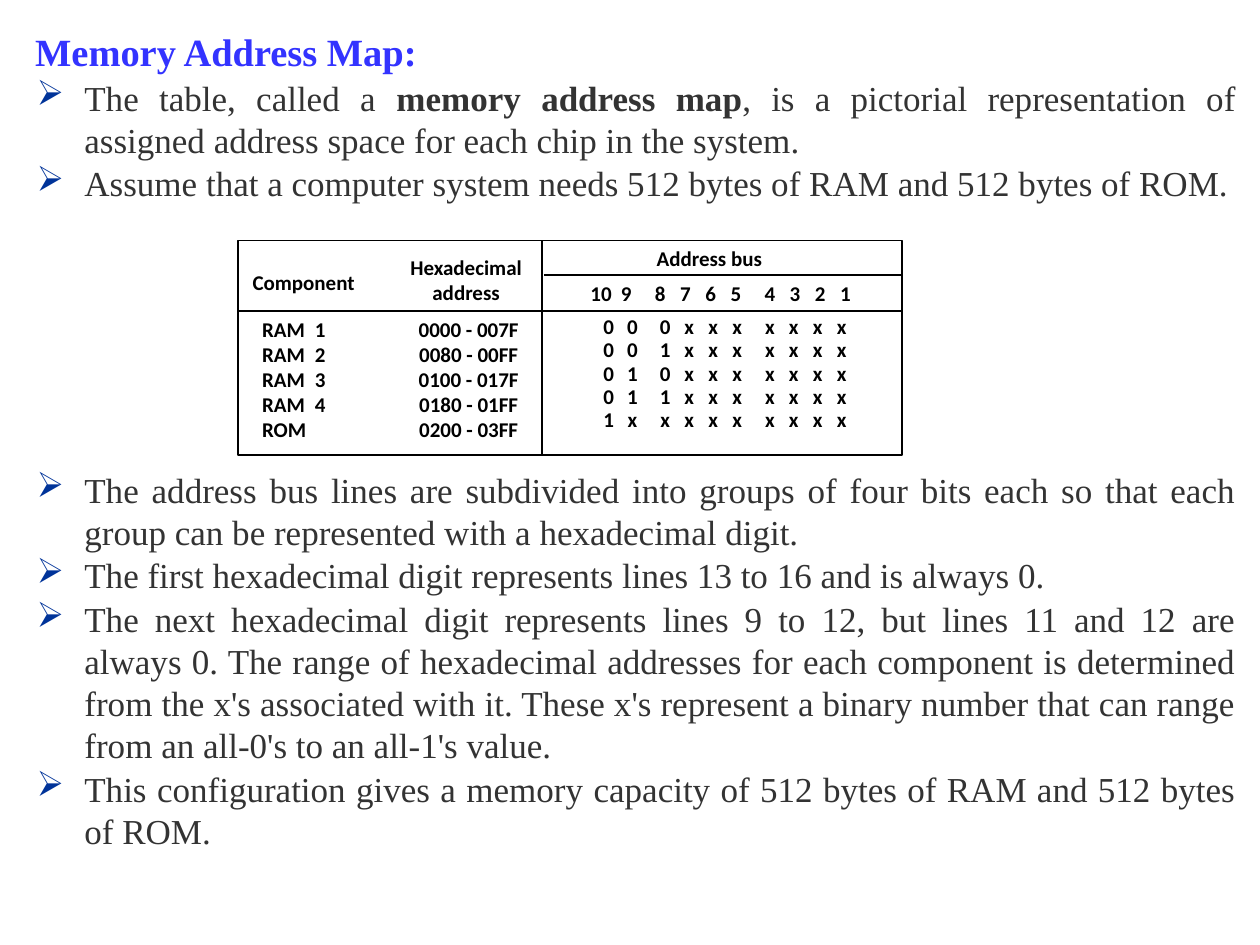
from dataclasses import dataclass

from lxml.etree import SubElement
from pptx import Presentation
from pptx.dml.color import RGBColor
from pptx.enum.shapes import MSO_CONNECTOR, MSO_SHAPE
from pptx.enum.text import PP_ALIGN
from pptx.oxml.ns import qn
from pptx.util import Inches, Pt


@dataclass(frozen=True)
class Theme:
    head: str = "3333FF"
    body: str = "333333"
    mark: str = "003399"
    ink: str = "000000"
    serif: str = "Times New Roman"
    sans: str = "Calibri"
    big: int = 22
    mid: int = 20
    small: int = 12
    rule: int = 1


def put(item, form):
    for name, value in form.items():
        setattr(item, name, value)


class Page:
    """Places elements on a grid of 100 columns by 75 rows."""

    def __init__(self, deck, theme):
        self.theme = theme
        self.slide = deck.slides.add_slide(deck.slide_layouts[6])
        self.col = deck.slide_width / 100
        self.row = deck.slide_height / 75

    def grid(self, x, y):
        return round(x * self.col), round(y * self.row)

    def frame(self, x, y, w, h, pad):
        box = self.slide.shapes.add_textbox(*self.grid(x, y), *self.grid(w, h))
        sides = ("margin_left", "margin_top", "margin_right", "margin_bottom")
        put(box.text_frame, dict(zip(sides, map(Inches, pad)), word_wrap=True))
        return box.text_frame

    def para(self, frame, runs, font, form, tabs=(), mark=None):
        """Add a paragraph; runs are (text, bold) pairs."""
        first = frame.paragraphs[0]
        line = frame.add_paragraph() if first.runs else first
        put(line, form)
        face, size, tint = font
        for text, bold in runs:
            run = line.add_run()
            run.text = text
            put(run.font, {"name": face, "size": Pt(size), "bold": bold})
            run.font.color.rgb = RGBColor.from_string(tint)
        prop = line._p.get_or_add_pPr()
        if mark:
            prop.set("marL", str(Inches(0.39)))
            prop.set("indent", str(Inches(-0.38)))
            tone = SubElement(prop, qn("a:buClr"))
            SubElement(tone, qn("a:srgbClr"), val=self.theme.mark)
            SubElement(prop, qn("a:buChar"), char=mark)
        if tabs:
            stops = SubElement(prop, qn("a:tabLst"))
            for kind, place in tabs:
                SubElement(stops, qn("a:tab"), pos=str(Inches(place)), algn=kind)

    def label(self, x, y, w, h, lines, align=PP_ALIGN.CENTER, tabs=(), space=1.0):
        t = self.theme
        frame = self.frame(x, y, w, h, (0.07, 0.03, 0.07, 0.03))
        for text in lines:
            self.para(frame, [(text, True)], (t.sans, t.small, t.ink),
                      {"alignment": align, "line_spacing": space}, tabs)

    def bits(self, y, h, rows, start, step, space=1.0):
        """Set ten bits a line, with a wider gap before each group of four."""
        gap = 0.07
        tabs = [("ctr", start + n * step + gap * ((n + 2) // 4)) for n in range(10)]
        lines = ["\t" + "\t".join(row) for row in rows]
        self.label(45.1, y, 25.1, h, lines, PP_ALIGN.LEFT, tabs, space)

    def stroke(self, line):
        line.color.rgb = RGBColor.from_string(self.theme.ink)
        line.width = Pt(self.theme.rule)

    def box(self, x, y, w, h):
        shape = self.slide.shapes.add_shape(
            MSO_SHAPE.RECTANGLE, *self.grid(x, y), *self.grid(w, h))
        shape.shadow.inherit = False
        shape.fill.background()
        self.stroke(shape.line)

    def line(self, x, y, to_x, to_y):
        link = self.slide.shapes.add_connector(
            MSO_CONNECTOR.STRAIGHT, *self.grid(x, y), *self.grid(to_x, to_y))
        self.stroke(link.line)
        SubElement(link._element.spPr, qn("a:effectLst"))


def main():
    deck = Presentation()
    put(deck, {"slide_width": Inches(10), "slide_height": Inches(7.5)})
    theme = Theme()
    page = Page(deck, theme)

    # Heading and points, with room for the map after the second point
    form = {"alignment": PP_ALIGN.JUSTIFY, "space_before": Pt(1)}
    body = page.frame(2.8, 2.2, 95.3, 69.6, (0, 0.01, 0, 0))
    page.para(body, [("Memory Address Map:", True)],
              (theme.serif, theme.big, theme.head), {**form, "line_spacing": Pt(26)})
    points = [
        [("The table, called a ", False), ("memory address map", True),
         (", is a pictorial representation of assigned address space for each "
          "chip in the system.", False)],
        [("Assume that a computer system needs 512 bytes of RAM and 512 bytes "
          "of ROM.", False)],
        [("The address bus lines are subdivided into groups of four bits each so "
          "that each group can be represented with a hexadecimal digit.", False)],
        [("The first hexadecimal digit represents lines 13 to 16 and is always 0.",
          False)],
        [("The next hexadecimal digit represents lines 9 to 12, but lines 11 and "
          "12 are always 0. The range of hexadecimal addresses for each component "
          "is determined from the x's associated with it. These x's represent a "
          "binary number that can range from an all-0's to an all-1's value.",
          False)],
        [("This configuration gives a memory capacity of 512 bytes of RAM and 512 "
          "bytes of ROM.", False)],
    ]
    for n, runs in enumerate(points):
        room = Pt(151 if n == 2 else 1)
        page.para(body, runs, (theme.serif, theme.mid, theme.body),
                  {**form, "line_spacing": Pt(24), "space_before": room}, mark="➢")

    # Component and address columns
    chips = [f"RAM\t{n}" for n in range(1, 5)] + ["ROM"]
    spans = ["0000 - 007F", "0080 - 00FF", "0100 - 017F", "0180 - 01FF",
             "0200 - 03FF"]
    page.label(20.1, 24.8, 9, 10.7, chips, PP_ALIGN.LEFT, [("l", 0.42)])
    page.label(31.9, 24.8, 10.6, 10.7, spans)

    # Column heads
    page.label(18.7, 21.1, 10.8, 2.6, ["Component"])
    page.label(31.2, 19.9, 11.6, 4.6, ["Hexadecimal", "address"])
    page.label(50.5, 19.2, 11.6, 2.6, ["Address bus"])

    # Address bus lines and their bits
    page.bits(22, 2.6, [map(str, range(10, 0, -1))], 0.19, 0.2)
    codes = ["000", "001", "010", "011", "1"]
    page.bits(24.8, 11.5, [code.ljust(10, "x") for code in codes], 0.25, 0.19, 0.92)

    # Map outline and rules
    left, top, right, low = 18.9, 19.1, 71.6, 36.1
    page.box(left, top, right - left, low - top)
    page.line(left, 24.7, right, 24.7)
    page.line(43, top, 43, low)
    page.line(43.2, 21.8, right, 21.8)

    deck.save("out.pptx")


if __name__ == "__main__":
    main()
